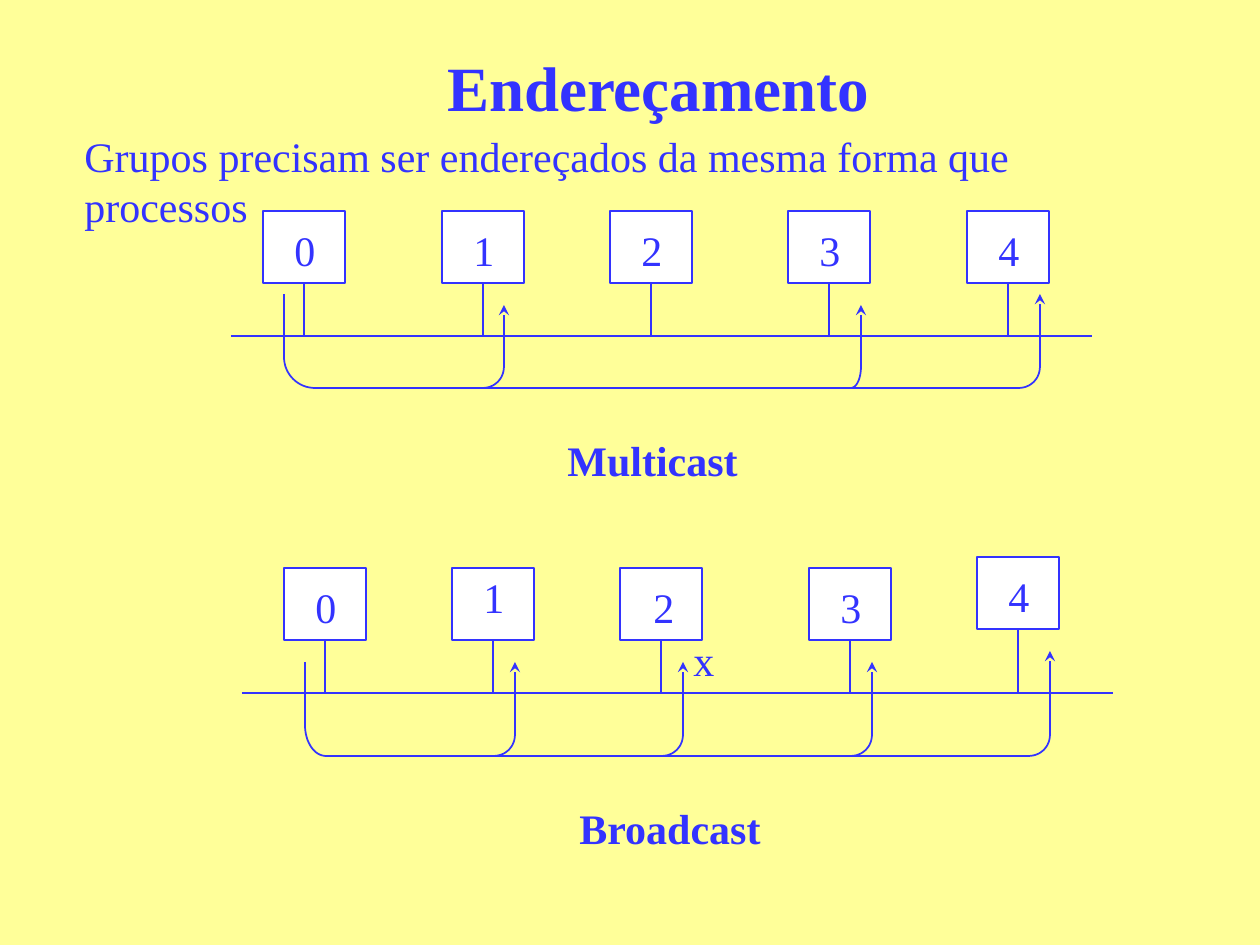
"""Build the slide on group addressing with multicast and broadcast diagrams."""
from dataclasses import dataclass
from math import cos, pi, sin

from lxml.etree import SubElement
from pptx import Presentation
from pptx.dml.color import RGBColor
from pptx.enum.shapes import MSO_CONNECTOR, MSO_SHAPE
from pptx.enum.text import PP_ALIGN
from pptx.oxml.ns import qn
from pptx.util import Emu, Pt

PIXEL = 914400 // 126


@dataclass(frozen=True)
class Theme:
    background: RGBColor = RGBColor(0xFF, 0xFF, 0x99)
    ink: RGBColor = RGBColor(0x33, 0x33, 0xFF)
    box_fill: RGBColor = RGBColor(0xFF, 0xFF, 0xFF)
    font: str = "Times New Roman"
    title_size: int = 36
    text_size: int = 24
    line_width: int = 1


@dataclass(frozen=True)
class Process:
    name: str
    left: int
    top: int
    label_dx: int = 19
    label_dy: int = 7
    label_width: int = 47


@dataclass(frozen=True)
class Delivery:
    x: int
    top: int
    bend: int = 21


@dataclass(frozen=True)
class Diagram:
    processes: tuple[Process, ...]
    bus: tuple[int, int, int]
    sender: tuple[int, int, int]
    trunk_y: int
    deliveries: tuple[Delivery, ...]


THEME = Theme()
BOX_WIDTH, BOX_HEIGHT = 82, 72
LABEL_HEIGHT = 63
SENDER_BEND_HEIGHT = 31
DELIVERY_BEND_HEIGHT = 21
ARC_STEPS = 16

MULTICAST = Diagram(
    processes=tuple(Process(str(i), left, 211) for i, left in enumerate((263, 442, 610, 788, 967))),
    bus=(231, 1092, 336),
    sender=(284, 294, 31),
    trunk_y=388,
    deliveries=(Delivery(504, 305), Delivery(861, 305, bend=10), Delivery(1040, 294)),
)
BROADCAST = Diagram(
    processes=(
        Process("0", 284, 568),
        Process("1", 452, 568, label_dy=-3),
        Process("2", 620, 568, label_dx=21, label_width=66),
        Process("3", 809, 568),
        Process("4", 977, 557),
    ),
    bus=(242, 1113, 693),
    sender=(305, 662, 21),
    trunk_y=756,
    deliveries=(Delivery(515, 662), Delivery(683, 662), Delivery(872, 662), Delivery(1050, 651)),
)


def px(value: float) -> Emu:
    """Turn pixels into EMU."""
    return Emu(round(value * PIXEL))


def style_line(line) -> None:
    """Apply the theme outline."""
    line.color.rgb = THEME.ink
    line.width = Pt(THEME.line_width)


def add_text(slide, text: str, left: int, top: int, width: int, height: int = LABEL_HEIGHT, *,
             size: int = THEME.text_size, bold: bool = False, wrap: bool = False,
             align: PP_ALIGN = PP_ALIGN.LEFT, space_before: int = 0) -> None:
    """Add one paragraph of formatted text."""
    frame = slide.shapes.add_textbox(px(left), px(top), px(width), px(height)).text_frame
    frame.word_wrap = wrap
    paragraph = frame.paragraphs[0]
    paragraph.alignment = align
    paragraph.space_before = Pt(space_before)
    run = paragraph.add_run()
    run.text = text
    run.font.name = THEME.font
    run.font.size = Pt(size)
    run.font.bold = bold
    run.font.color.rgb = THEME.ink


def add_line(slide, x1: int, y1: int, x2: int, y2: int, arrow: bool = False) -> None:
    """Draw a straight line, with an optional arrowhead at its end."""
    connector = slide.shapes.add_connector(MSO_CONNECTOR.STRAIGHT, px(x1), px(y1), px(x2), px(y2))
    style_line(connector.line)
    if arrow:
        SubElement(connector.line._get_or_add_ln(), qn("a:tailEnd"), type="stealth")
    SubElement(connector._element.spPr, qn("a:effectLst"))


def add_bend(slide, x: int, trunk_y: int, dx: int, height: int) -> None:
    """Draw a quarter ellipse from a vertical at x to the trunk, dx to the side."""
    points = []
    for step in range(ARC_STEPS + 1):
        angle = step / ARC_STEPS * pi / 2
        points.append((px(x + dx * (1 - cos(angle))), px(trunk_y - height * (1 - sin(angle)))))
    builder = slide.shapes.build_freeform(*points[0])
    builder.add_line_segments(points[1:], close=False)
    shape = builder.convert_to_shape()
    shape.shadow.inherit = False
    shape.fill.background()
    style_line(shape.line)


def add_process(slide, process: Process, bus_y: int) -> None:
    """Draw a numbered box and its tap to the bus."""
    box = slide.shapes.add_shape(MSO_SHAPE.RECTANGLE, px(process.left), px(process.top),
                                 px(BOX_WIDTH), px(BOX_HEIGHT))
    box.shadow.inherit = False
    box.fill.solid()
    box.fill.fore_color.rgb = THEME.box_fill
    style_line(box.line)
    tap_x = process.left + BOX_WIDTH // 2
    add_line(slide, tap_x, process.top + BOX_HEIGHT, tap_x, bus_y)
    add_text(slide, process.name, process.left + process.label_dx,
             process.top + process.label_dy, process.label_width)


def add_diagram(slide, diagram: Diagram) -> None:
    """Draw the processes, the bus and the message route."""
    bus_left, bus_right, bus_y = diagram.bus
    for process in diagram.processes:
        add_process(slide, process, bus_y)
    add_line(slide, bus_left, bus_y, bus_right, bus_y)

    sender_x, sender_top, sender_bend = diagram.sender
    trunk_y = diagram.trunk_y
    add_line(slide, sender_x, sender_top, sender_x, trunk_y - SENDER_BEND_HEIGHT)
    add_bend(slide, sender_x, trunk_y, sender_bend, SENDER_BEND_HEIGHT)
    last = diagram.deliveries[-1]
    add_line(slide, sender_x + sender_bend, trunk_y, last.x - last.bend, trunk_y)
    for delivery in diagram.deliveries:
        add_bend(slide, delivery.x, trunk_y, -delivery.bend, DELIVERY_BEND_HEIGHT)
        add_line(slide, delivery.x, trunk_y - DELIVERY_BEND_HEIGHT, delivery.x, delivery.top, arrow=True)


def main() -> None:
    """Build and save the presentation."""
    presentation = Presentation()
    presentation.slide_width, presentation.slide_height = px(1260), px(945)
    slide = presentation.slides.add_slide(presentation.slide_layouts[6])
    slide.background.fill.solid()
    slide.background.fill.fore_color.rgb = THEME.background

    add_text(slide, " Endereçamento", 115, 42, 1071, 798, size=THEME.title_size, bold=True,
             wrap=True, align=PP_ALIGN.CENTER, space_before=4)
    add_diagram(slide, MULTICAST)
    add_text(slide, "Multicast", 555, 428, 210, bold=True, wrap=True)
    add_diagram(slide, BROADCAST)
    add_text(slide, "Broadcast", 567, 796, 268, bold=True, wrap=True)
    add_text(slide, "x", 681, 628, 47)
    add_text(slide, "Grupos precisam ser endereçados da mesma forma que processos",
             72, 124, 1112, wrap=True)
    presentation.save("out.pptx")


main()
